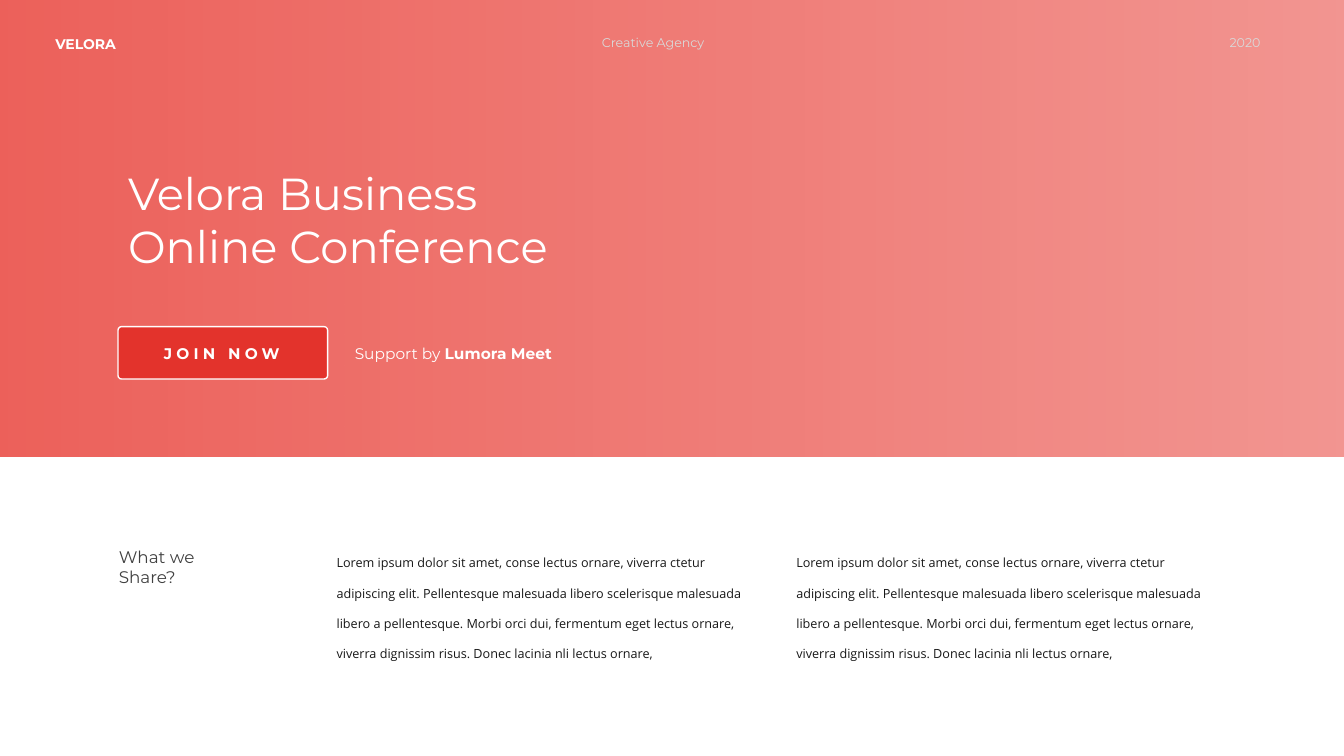
from dataclasses import dataclass

from pptx import Presentation
from pptx.dml.color import RGBColor
from pptx.enum.shapes import MSO_SHAPE
from pptx.enum.text import MSO_ANCHOR, MSO_AUTO_SIZE, PP_ALIGN
from pptx.oxml import parse_xml
from pptx.oxml.ns import nsdecls, qn
from pptx.shapes.autoshape import Shape
from pptx.slide import Slide
from pptx.util import Inches, Pt


@dataclass(frozen=True)
class Theme:
    heading_font: str = "Montserrat"
    body_font: str = "Open Sans"
    white: str = "FFFFFF"
    muted: str = "D9D9D9"
    heading: str = "404040"
    body: str = "181818"
    band: str = "EB4F48"
    button: str = "E3332C"
    title_size: int = 32
    heading_size: int = 12
    action_size: int = 11
    brand_size: int = 10
    small_size: int = 9


THEME = Theme()


@dataclass(frozen=True)
class Area:
    left: float
    top: float
    width: float
    height: float

    def lengths(self) -> tuple:
        return tuple(Inches(v) for v in (self.left, self.top, self.width, self.height))


@dataclass(frozen=True)
class Span:
    text: str
    bold: bool = False


@dataclass(frozen=True)
class Label:
    area: Area
    spans: tuple[Span, ...]
    size: int
    color: str = THEME.white
    font: str = THEME.heading_font
    align: PP_ALIGN = PP_ALIGN.LEFT
    line_spacing: float = 1.0
    tracking: int = 0


SLIDE_WIDTH, SLIDE_HEIGHT = 13.33, 7.5
HEADER_TOP = 0.3
ACTION_TOP = 3.36
COLUMN_LEFTS = (3.24, 7.8)
LOREM = (
    "Lorem ipsum dolor sit amet, conse lectus ornare, viverra ctetur adipiscing elit. "
    "Pellentesque malesuada libero scelerisque malesuada libero a pellentesque. "
    "Morbi orci dui, fermentum eget lectus ornare, viverra dignissim risus. "
    "Donec lacinia nli lectus ornare,"
)

BAND = Area(0, 0, SLIDE_WIDTH, 4.53)
BAND_OPACITIES = (90, 60)
BUTTON = Area(1.17, 3.24, 2.08, 0.52)

TITLE = Label(Area(1.17, 1.59, 4.99, 1.18), (Span("Velora Business Online Conference"),),
              THEME.title_size)
LABELS = (
    Label(Area(0.45, HEADER_TOP, 1.07, 0.27), (Span("VELORA", True),), THEME.brand_size),
    Label(Area(5.87, HEADER_TOP, 1.58, 0.25), (Span("Creative Agency"),),
          THEME.small_size, THEME.muted),
    Label(Area(11.02, HEADER_TOP, 1.58, 0.25), (Span("2020"),),
          THEME.small_size, THEME.muted, align=PP_ALIGN.RIGHT),
    Label(Area(3.42, ACTION_TOP, 3.11, 0.29),
          (Span("Support by "), Span("Lumora Meet", True)), THEME.action_size),
    Label(Area(1.34, ACTION_TOP, 1.72, 0.29), (Span("JOIN NOW", True),),
          THEME.action_size, align=PP_ALIGN.CENTER, tracking=300),
    Label(Area(1.08, 5.37, 1.44, 0.5), (Span("What we Share?"),),
          THEME.heading_size, THEME.heading),
    *(Label(Area(left, 5.31, 4.26, 1.27), (Span(LOREM),), THEME.small_size,
            THEME.body, THEME.body_font, line_spacing=2.0) for left in COLUMN_LEFTS),
)


def apply_format(target: object, values: dict) -> None:
    for name, value in values.items():
        setattr(target, name, value)


def write_label(box: Shape, label: Label) -> None:
    frame = box.text_frame
    apply_format(frame, {
        "word_wrap": True,
        "auto_size": MSO_AUTO_SIZE.SHAPE_TO_FIT_TEXT,
        "vertical_anchor": MSO_ANCHOR.TOP,
    })
    para = frame.paragraphs[0]
    apply_format(para, {
        "alignment": label.align,
        "line_spacing": label.line_spacing,
        "space_before": Pt(0),
    })
    for span in label.spans:
        run = para.add_run()
        run.text = span.text
        apply_format(run.font, {
            "name": label.font, "size": Pt(label.size), "bold": span.bold,
        })
        run.font.color.rgb = RGBColor.from_string(label.color)
        if label.tracking:
            run.font._element.set("spc", str(label.tracking))


def add_label(page: Slide, label: Label) -> None:
    write_label(page.shapes.add_textbox(*label.area.lengths()), label)


def add_band(page: Slide) -> None:
    band = page.shapes.add_shape(MSO_SHAPE.RECTANGLE, *BAND.lengths())
    band.shadow.inherit = False
    band.line.fill.background()
    band.fill.gradient()
    band.fill.gradient_angle = 0
    for stop in band.fill.gradient_stops:
        stop.color.rgb = RGBColor.from_string(THEME.band)
    colors = band.element.spPr.iter(qn("a:srgbClr"))
    for color, opacity in zip(colors, BAND_OPACITIES):
        color.append(parse_xml(f'<a:alpha {nsdecls("a")} val="{opacity * 1000}"/>'))


def add_button(page: Slide) -> None:
    button = page.shapes.add_shape(MSO_SHAPE.ROUNDED_RECTANGLE, *BUTTON.lengths())
    button.adjustments[0] = 0.07
    button.shadow.inherit = False
    button.fill.solid()
    button.fill.fore_color.rgb = RGBColor.from_string(THEME.button)
    button.line.color.rgb = RGBColor.from_string(THEME.white)
    button.line.width = Pt(1)


def place_title(page: Slide) -> None:
    title = page.shapes.title
    names = ("left", "top", "width", "height")
    apply_format(title, dict(zip(names, TITLE.area.lengths())))
    write_label(title, TITLE)
    title.element.getparent().append(title.element)


def main() -> None:
    deck = Presentation()
    apply_format(deck, {
        "slide_width": Inches(SLIDE_WIDTH), "slide_height": Inches(SLIDE_HEIGHT),
    })
    page = deck.slides.add_slide(deck.slide_layouts.get_by_name("Title Only"))
    add_band(page)
    add_button(page)
    for label in LABELS:
        add_label(page, label)
    place_title(page)
    deck.save("out.pptx")


if __name__ == "__main__":
    main()
